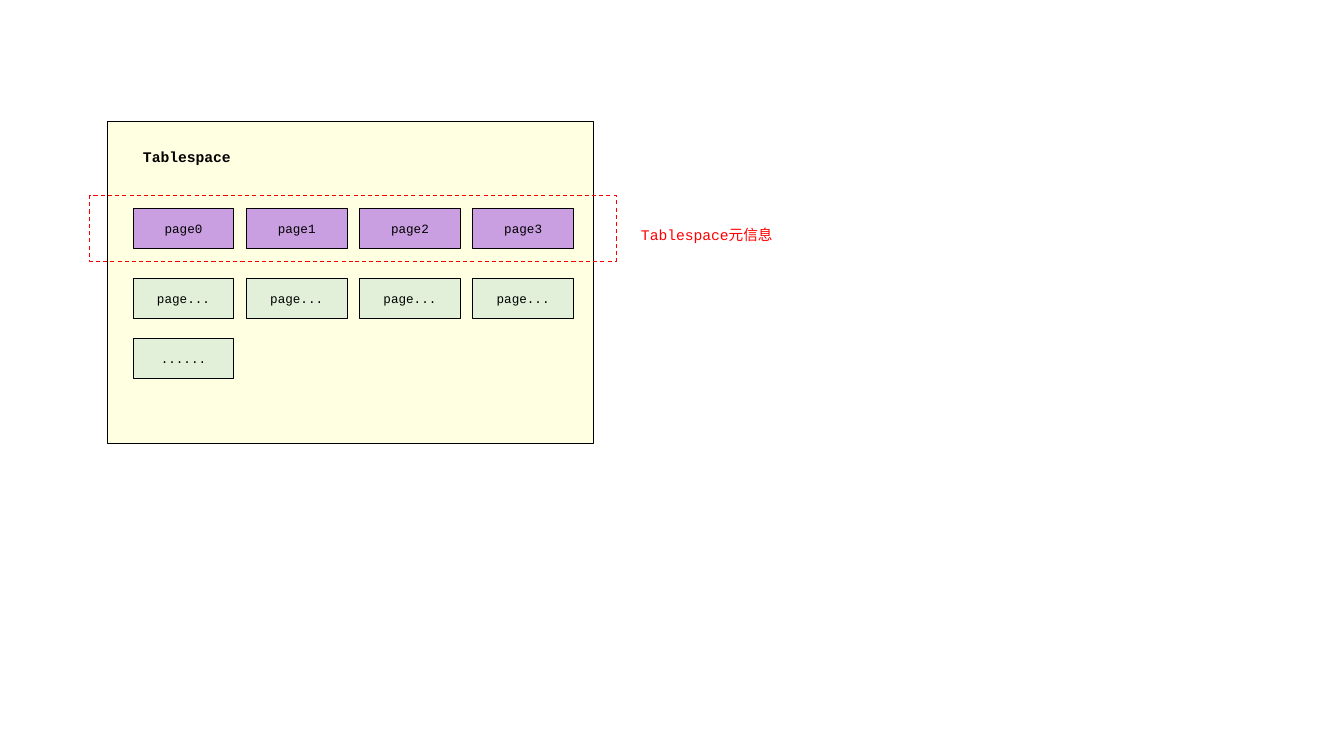
from pptx import Presentation
from pptx.dml.color import RGBColor
from pptx.enum.dml import MSO_LINE
from pptx.enum.shapes import MSO_SHAPE
from pptx.enum.text import MSO_ANCHOR, MSO_AUTO_SIZE, PP_ALIGN
from pptx.util import Inches, Pt

COLORS = {
    "black": "000000",
    "tablespace": "FFFFE1",
    "meta_page": "C99FE1",
    "data_page": "E2F0D9",
    "meta": "FF0000",
}
GRID_LEFT = 1.32
COLUMN_STEP = 1.123
PAGE_WIDTH, PAGE_HEIGHT = 1, 0.4
PAGE_ROWS = [
    (2.07, "meta_page", ["page0", "page1", "page2", "page3"]),
    (2.76, "data_page", ["page..."] * 4),
    (3.36, "data_page", ["......"]),
]

presentation = Presentation()
presentation.slide_width, presentation.slide_height = Inches(13.33), Inches(7.5)
slide = presentation.slides.add_slide(presentation.slide_layouts[6])


def write(shape, text, size, color, alignment, bold=False):
    """Put one styled paragraph into a shape."""
    shape.text_frame.word_wrap = True
    paragraph = shape.text_frame.paragraphs[0]
    paragraph.text = text
    paragraph.alignment = alignment
    paragraph.font.name = "Courier New"
    paragraph.font.size = Pt(size)
    paragraph.font.bold = bold
    paragraph.font.color.rgb = RGBColor.from_string(COLORS[color])


def add_box(left, top, width, height, fill=None, line="black"):
    """Add a thin-lined rectangle, hollow when no fill is given."""
    box = slide.shapes.add_shape(
        MSO_SHAPE.RECTANGLE, Inches(left), Inches(top), Inches(width), Inches(height))
    box.shadow.inherit = False
    if fill:
        box.fill.solid()
        box.fill.fore_color.rgb = RGBColor.from_string(COLORS[fill])
    else:
        box.fill.background()
    box.line.color.rgb = RGBColor.from_string(COLORS[line])
    box.line.width = Pt(0.75)
    return box


add_box(1.07, 1.21, 4.82, 3.19, "tablespace")

for top, fill, names in PAGE_ROWS:
    for column, name in enumerate(names):
        page = add_box(GRID_LEFT + column * COLUMN_STEP, top, PAGE_WIDTH, PAGE_HEIGHT, fill)
        page.text_frame.vertical_anchor = MSO_ANCHOR.MIDDLE
        write(page, name, 9, "black", PP_ALIGN.CENTER)

meta_frame = add_box(0.89, 1.94, 5.22, 0.65, line="meta")
meta_frame.line.dash_style = MSO_LINE.DASH

for left, top, width, text, color, alignment, bold in [
    (GRID_LEFT, 1.42, 1.46, "Tablespace", "black", PP_ALIGN.JUSTIFY, True),
    (6.14, 2.19, 1.74, "Tablespace元信息", "meta", PP_ALIGN.CENTER, False),
]:
    label = slide.shapes.add_textbox(Inches(left), Inches(top), Inches(width), Inches(0.28))
    label.text_frame.auto_size = MSO_AUTO_SIZE.SHAPE_TO_FIT_TEXT
    write(label, text, 10.5, color, alignment, bold)

presentation.save("out.pptx")
